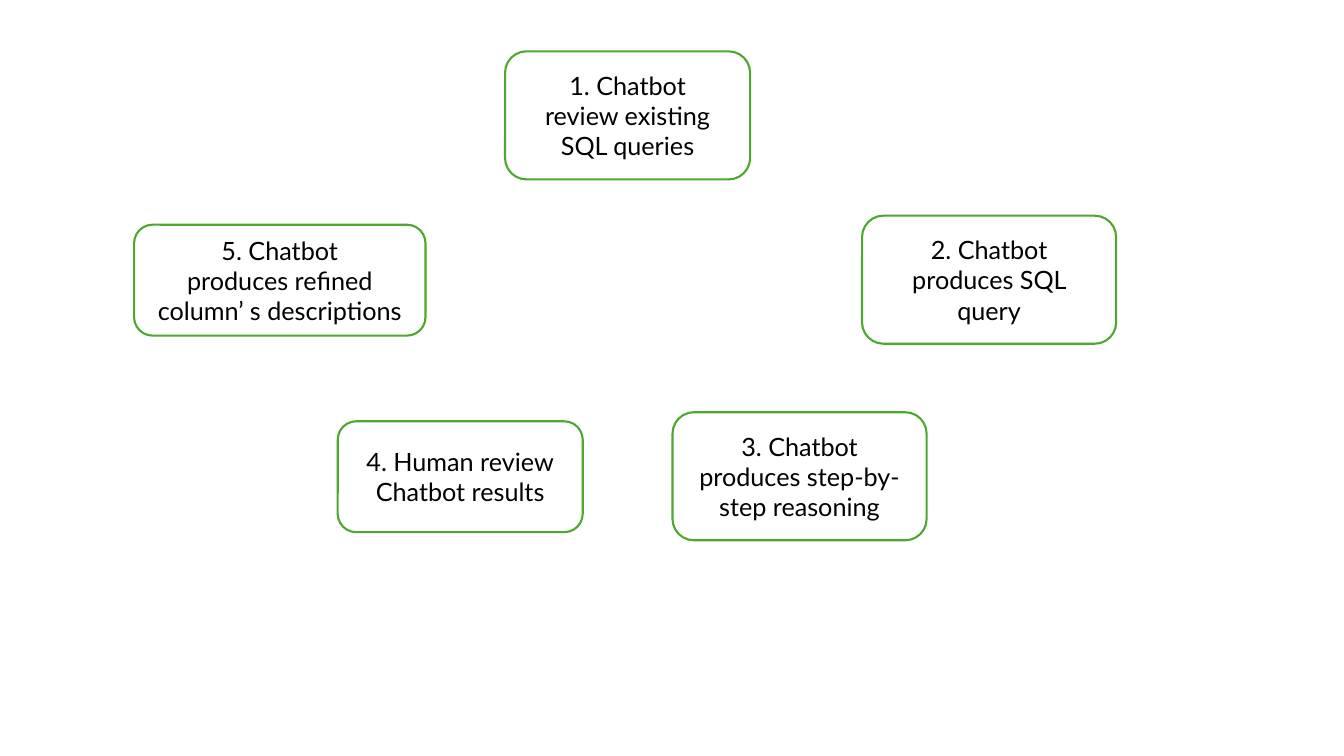
from dataclasses import dataclass

from pptx import Presentation
from pptx import util as u
from pptx.dml import color
from pptx.enum import shapes, text


@dataclass
class Theme:
    font: str = "Lato"
    size: int = 18
    ink: str = "000000"
    fill: str = "FFFFFF"
    line: str = "4EA72E"
    line_width: float = 1.5


theme = Theme()
PX = u.Inches(1) // 100


def write(paragraph, words, size=theme.size, ink=theme.ink, font=theme.font,
          align=text.PP_ALIGN.CENTER):
    paragraph.alignment = align
    span = paragraph.add_run()
    span.text = words
    span.font.size = u.Pt(size)
    span.font.name = font
    span.font.color.rgb = color.RGBColor.from_string(ink)


deck = Presentation()
deck.slide_width, deck.slide_height = 1333 * PX, 750 * PX
page = deck.slides.add_slide(deck.slide_layouts[6])

steps = [
    (501, 51, 243, 127, ["1. Chatbot", "review existing SQL queries"]),
    (855, 214, 252, 127, ["2. Chatbot", "produces SQL query"]),
    (667, 409, 252, 127, ["3. Chatbot", "produces step-by-", "step reasoning"]),
    (335, 418, 243, 110, ["4. Human review", "Chatbot results"]),
    (133, 223, 289, 110, ["5. Chatbot", "produces refined", "column’ s descriptions"]),
]

for left, top, width, height, lines in steps:
    box = page.shapes.add_shape(
        shapes.MSO_SHAPE.ROUNDED_RECTANGLE,
        left * PX, top * PX, width * PX, height * PX)
    box.shadow.inherit = False
    box.fill.solid()
    box.fill.fore_color.rgb = color.RGBColor.from_string(theme.fill)
    box.line.color.rgb = color.RGBColor.from_string(theme.line)
    box.line.width = u.Pt(theme.line_width)
    frame = box.text_frame
    frame.word_wrap = True
    frame.vertical_anchor = text.MSO_ANCHOR.MIDDLE
    for index, words in enumerate(lines):
        paragraph = frame.add_paragraph() if index else frame.paragraphs[0]
        write(paragraph, words)

deck.save("out.pptx")
